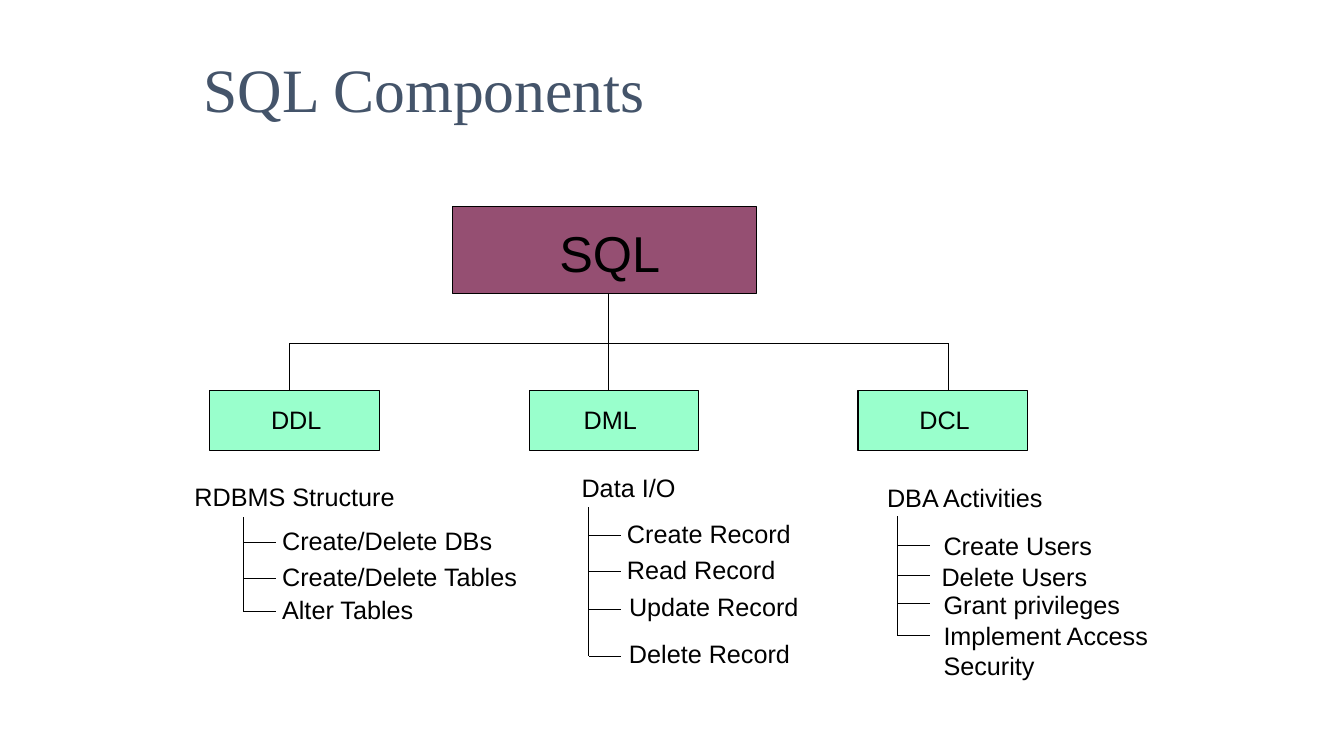
from pptx import Presentation
from pptx.dml.color import RGBColor
from pptx.enum.shapes import MSO_CONNECTOR as CONNECTOR, MSO_SHAPE as SHAPE
from pptx.enum.text import MSO_ANCHOR as ANCHOR, MSO_AUTO_SIZE as AUTO_SIZE, PP_ALIGN as ALIGN
from pptx.oxml.ns import qn
from pptx.util import Inches, Pt

BLACK, PLUM, MINT, SLATE = "000000", "954F72", "99FFCC", "44546A"
BRANCH_TOP, BRANCH_WIDTH, BRANCH_HEIGHT = 3.87, 1.68, 0.6
TICK = 0.32

BRANCHES = [
    dict(left=2.08, label=("DDL", 0.51, 0.09, 0.7),
         heading=("RDBMS Structure", -0.25, 0.86, 2.19), stem=(0.34, 1.26),
         items=[("Create/Delete DBs", 0.62, 1.29, 2.3, 1.51),
                ("Create/Delete Tables", 0.62, 1.65, 2.56, 1.87),
                ("Alter Tables", 0.62, 1.98, 1.53, 2.2)]),
    dict(left=5.25, label=("DML", 0.44, 0.09, 0.73),
         heading=("Data I/O", 0.42, 0.77, 1.13), stem=(0.59, 1.16),
         items=[("Create Record", 0.87, 1.22, 1.83, 1.44),
                ("Read Record", 0.87, 1.58, 1.67, 1.8),
                ("Update Record", 0.89, 1.95, 1.88, 2.18),
                ("Delete Record", 0.89, 2.41, 1.8, 2.64)]),
    dict(left=8.51, label=("DCL", 0.51, 0.09, 0.7),
         heading=("DBA Activities", 0.19, 0.87, 1.77), stem=(0.39, 1.25),
         items=[("Create Users", 0.75, 1.34, 1.67, 1.54),
                ("Delete Users", 0.73, 1.65, 1.65, 1.84),
                ("Grant privileges", 0.75, 1.93, 1.95, 2.12),
                ("Implement Access\vSecurity", 0.75, 2.23, 2.24, 2.43)]),
]


def paint(color_format, color):
    """Apply a hex colour to a fill, line or font colour."""
    color_format.rgb = RGBColor.from_string(color)


def style(paragraph, size, color, font):
    """Format every run of a paragraph."""
    for run in paragraph.runs:
        run.font.size, run.font.name = Pt(size), font
        paint(run.font.color, color)


def add_title(slide, text, left, top, width, height):
    """Fill and place the title placeholder."""
    title = slide.shapes.title
    title.left, title.top = Inches(left), Inches(top)
    title.width, title.height = Inches(width), Inches(height)
    title.text_frame.text = text
    title.text_frame.vertical_anchor = ANCHOR.MIDDLE
    heading = title.text_frame.paragraphs[0]
    heading.alignment = ALIGN.LEFT
    style(heading, 44, SLATE, "Times New Roman")


def add_label(slide, text, left, top, width, size=18):
    """Add unwrapped Arial text in a box that grows with it."""
    height = 0.1 + size / 60 * (1 + text.count("\v"))
    label = slide.shapes.add_textbox(
        Inches(left), Inches(top), Inches(width), Inches(height))
    label.text_frame.word_wrap = False
    label.text_frame.auto_size = AUTO_SIZE.SHAPE_TO_FIT_TEXT
    line = label.text_frame.paragraphs[0]
    line.text = text
    style(line, size, BLACK, "Arial")


def add_box(slide, left, top, width, height, color):
    """Add a filled rectangle with a thin black outline."""
    box = slide.shapes.add_shape(
        SHAPE.RECTANGLE, Inches(left), Inches(top), Inches(width), Inches(height))
    box.shadow.inherit = False
    box.fill.solid()
    paint(box.fill.fore_color, color)
    paint(box.line.color, BLACK)
    box.line.width = Pt(0.75)


def add_line(slide, x1, y1, x2, y2):
    """Add a thin black line without a shadow."""
    line = slide.shapes.add_connector(
        CONNECTOR.STRAIGHT, Inches(x1), Inches(y1), Inches(x2), Inches(y2))
    paint(line.line.color, BLACK)
    line.line.width = Pt(0.75)
    properties = line._element.spPr
    properties.append(properties.makeelement(qn("a:effectLst"), {}))


def add_root(slide, left, top, width, height):
    """Draw the SQL box, its trunk and the rail above the branches."""
    add_box(slide, left, top, width, height, PLUM)
    add_label(slide, "SQL", left + 0.96, top + 0.1, 1.2, 36)
    trunk, bottom = left + 1.55, top + height
    rail, first, last = bottom + 0.5, left - 1.62, left + 4.92
    add_line(slide, trunk, bottom, trunk, BRANCH_TOP)
    add_line(slide, first, rail, last, rail)
    for drop in (first, last):
        add_line(slide, drop, rail, drop, BRANCH_TOP)


def add_branch(slide, left, top, label, heading, stem, items):
    """Draw one component box with the list that hangs below it."""
    add_box(slide, left, top, BRANCH_WIDTH, BRANCH_HEIGHT, MINT)
    for text, dx, dy, width in (label, heading):
        add_label(slide, text, left + dx, top + dy, width)
    stem_x, stem_top = left + stem[0], top + stem[1]
    add_line(slide, stem_x, stem_top, stem_x, top + items[-1][-1])
    for text, dx, dy, width, tick_dy in items:
        add_line(slide, stem_x, top + tick_dy, stem_x + TICK, top + tick_dy)
        add_label(slide, text, left + dx, top + dy, width)


def main():
    """Build and save the SQL components slide."""
    deck = Presentation()
    deck.slide_width, deck.slide_height = Inches(13.33), Inches(7.5)
    slide = deck.slides.add_slide(deck.slide_layouts[5])
    add_title(slide, "SQL Components", 1.92, 0.25, 9, 1.25)
    add_root(slide, 4.49, 2.05, 3.01, 0.86)
    for branch in BRANCHES:
        add_branch(slide, top=BRANCH_TOP, **branch)
    deck.save("out.pptx")


main()
